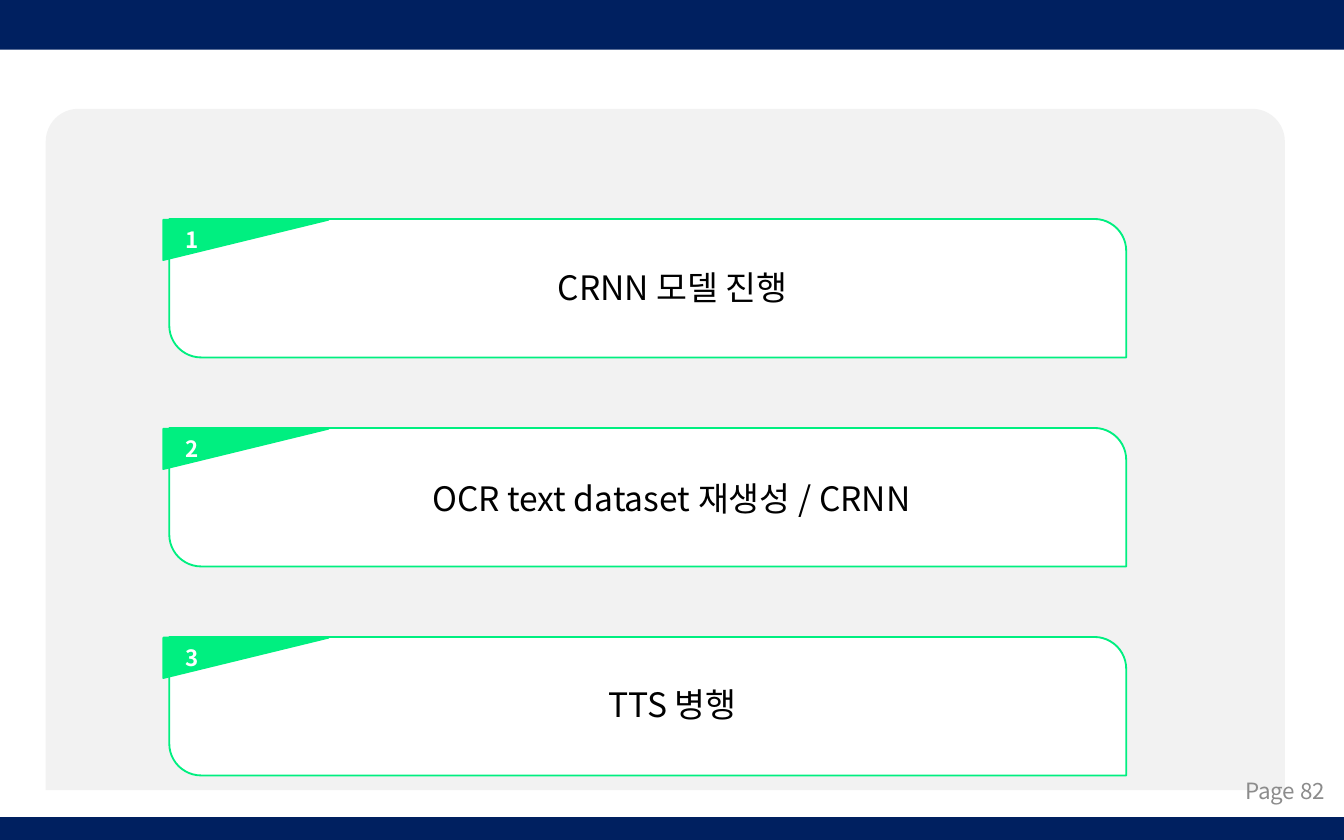
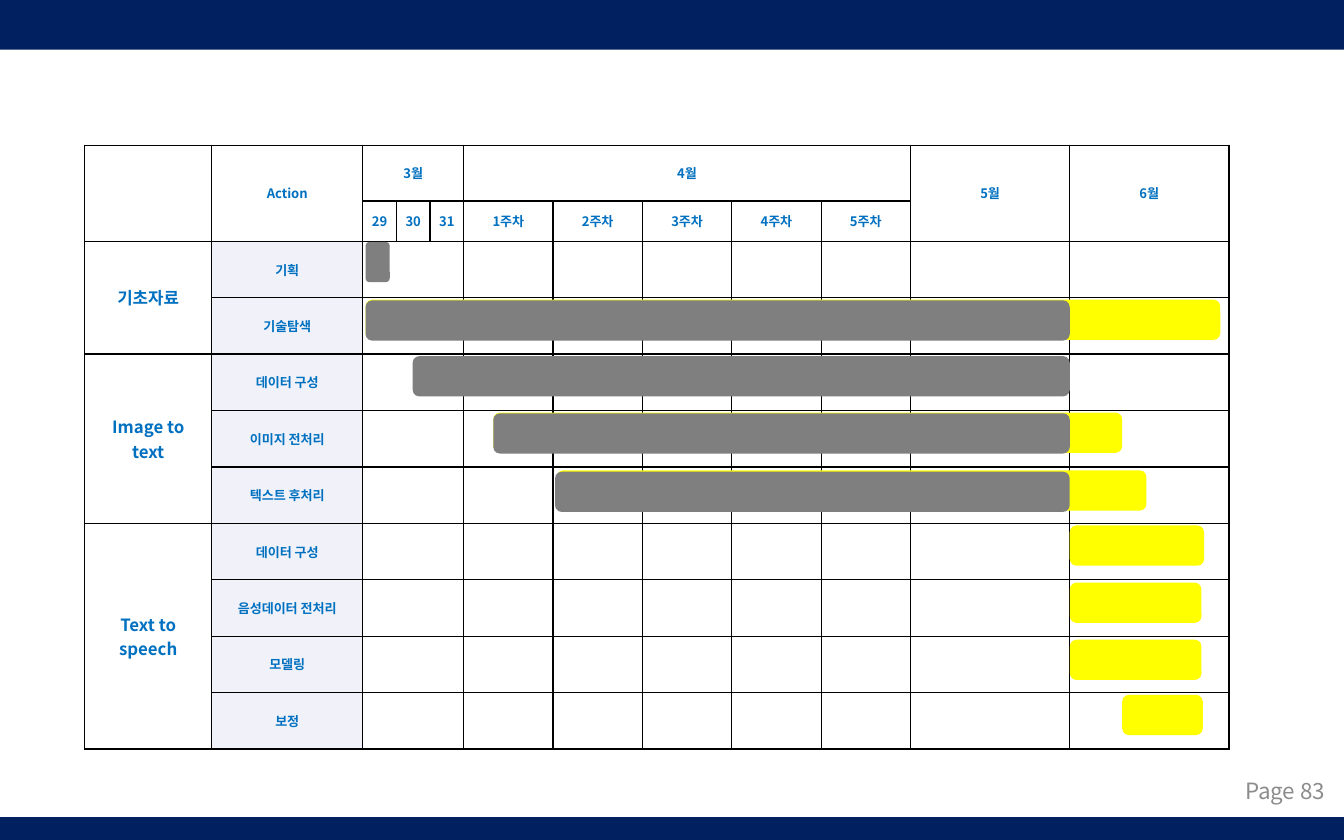
import lxml.etree
import pptx
import pptx.dml.color
import pptx.enum.shapes
import pptx.enum.text
import pptx.oxml.ns
import pptx.util

PX = 4572  # EMU per px, 200 px to the inch
FONT = "Noto Sans CJK KR"
COLORS = {
    "navy": "002060", "panel": "F2F2F2", "green": "00EF80", "white": "FFFFFF",
    "black": "000000", "page": "8C8C8C", "blue": "0070C0", "action": "F1F2F9",
    "done": "7F7F7F", "planned": "FFFF00",
}
SHAPE = pptx.enum.shapes.MSO_SHAPE
ALIGN = pptx.enum.text.PP_ALIGN
ANCHOR = pptx.enum.text.MSO_ANCHOR
AUTO = pptx.enum.text.MSO_AUTO_SIZE
qn = pptx.oxml.ns.qn


def add_shape(shapes, kind, box, fill, line=None, adj=()):
    sp = shapes.add_shape(kind, *[v * PX for v in box])
    sp.shadow.inherit = False
    sp.fill.solid()
    sp.fill.fore_color.rgb = pptx.dml.color.RGBColor.from_string(COLORS[fill])
    if line:
        sp.line.color.rgb = pptx.dml.color.RGBColor.from_string(COLORS[line])
        sp.line.width = pptx.util.Pt(1)
    else:
        sp.line.fill.background()
    for i, value in enumerate(adj):
        sp.adjustments[i] = value
    return sp


def write(tf, text, size=18, color="black", bold=False, align=ALIGN.CENTER,
          anchor=ANCHOR.TOP, wrap=True, grow=False):
    tf.word_wrap = wrap
    tf.vertical_anchor = anchor
    if grow:
        tf.auto_size = AUTO.SHAPE_TO_FIT_TEXT
    for i, line in enumerate(text.split("\n")):
        p = tf.add_paragraph() if i else tf.paragraphs[0]
        p.alignment = align
        r = p.add_run()
        r.text = line
        r.font.size = pptx.util.Pt(size)
        r.font.bold = bold
        r.font.color.rgb = pptx.dml.color.RGBColor.from_string(COLORS[color])
        r.font.name = FONT
        ea = lxml.etree.SubElement(r._r.get_or_add_rPr(), qn("a:ea"))
        ea.set("typeface", FONT)


prs = pptx.Presentation()
prs.slide_width = 2000 * PX
prs.slide_height = 1250 * PX
blank = prs.slide_layouts[6]
plan, schedule = [prs.slides.add_slide(blank) for _ in range(2)]

# Bands, moved to the master so that both slides share them
for i, box in enumerate([(0, 0, 2000, 74), (0, 1216, 2000, 34)]):
    sp = add_shape(plan.shapes, SHAPE.RECTANGLE, box, "navy")
    sp.element.nvSpPr.cNvPr.set("id", str(100 + i))
    prs.slide_master.shapes.element.insert(2 + i, sp.element)

# Plan: three numbered cards on a panel
s = plan
add_shape(s.shapes, SHAPE.ROUND_2_SAME_RECTANGLE, (68, 162, 1844, 1014),
          "panel", adj=(0.048, 0))
for i in range(3):
    top = 326 + 311 * i
    group = s.shapes.add_group_shape().shapes
    card = add_shape(group, SHAPE.ROUND_2_DIAG_RECTANGLE, (252, top, 1424, 206),
                     "white", "green", (0.23, 0))
    card.element.spPr.xfrm.set("flipH", "1")
    corner = add_shape(group, SHAPE.RIGHT_TRIANGLE, (336, top - 92, 60, 246),
                       "green", "green")
    corner.rotation = 90
    number = group.add_textbox(256 * PX, top * PX, 62 * PX, 62 * PX)
    write(number.text_frame, str(i + 1), size=12, color="white", bold=True,
          align=ALIGN.LEFT, grow=True)

for text, left, top, width in [
    ("OCR text dataset 재생성 / CRNN", 602, 702, 794),
    ("CRNN 모델 진행", 792, 388, 418),
    ("TTS 병행", 880, 1008, 242),
]:
    tb = s.shapes.add_textbox(left * PX, top * PX, width * PX, 80 * PX)
    write(tb.text_frame, text, wrap=False, grow=True)

# Schedule: table grid
s = schedule
columns = [189, 225] + [50] * 3 + [133] * 5 + [237] * 2
rows = [83, 51] + [84] * 9
frame = s.shapes.add_table(len(rows), len(columns), 126 * PX, 216 * PX,
                           sum(columns) * PX, sum(rows) * PX)
table = frame.table
table.first_row = table.horz_banding = False
for column, width in zip(table.columns, columns):
    column.width = width * PX
for row, height in zip(table.rows, rows):
    row.height = height * PX

for r in range(len(rows)):
    for c in range(len(columns)):
        cell = table.cell(r, c)
        cell.margin_left = cell.margin_right = 0
        cell.margin_top = cell.margin_bottom = 0
        tcPr = cell._tc.get_or_add_tcPr()
        for side in ("a:lnL", "a:lnR", "a:lnT", "a:lnB"):
            ln = lxml.etree.SubElement(tcPr, qn(side), w="9525")
            fill = lxml.etree.SubElement(ln, qn("a:solidFill"))
            lxml.etree.SubElement(fill, qn("a:srgbClr"), val=COLORS["black"])
        if r > 1 and c > 0:
            cell.fill.solid()
            cell.fill.fore_color.rgb = pptx.dml.color.RGBColor.from_string(
                COLORS["action" if c == 1 else "white"])
        else:
            cell.fill.background()

# Merged cells: first row, first column, last row, last column
spans = [(0, c, 1, c) for c in (0, 1, 10, 11)]
spans += [(0, 2, 0, 4), (0, 5, 0, 9), (2, 0, 3, 0), (4, 0, 6, 0), (7, 0, 10, 0)]
spans += [(r, 2, r, 4) for r in range(2, 11)]
for r1, c1, r2, c2 in spans:
    table.cell(r1, c1).merge(table.cell(r2, c2))

# Table text
labels = {(0, 1): "Action", (0, 2): "3월", (0, 5): "4월", (0, 10): "5월", (0, 11): "6월"}
days = ["29", "30", "31"] + [f"{week}주차" for week in range(1, 6)]
labels.update({(1, c): day for c, day in enumerate(days, 2)})
actions = ["기획", "기술탐색", "데이터 구성", "이미지 전처리", "텍스트 후처리",
           "데이터 구성", "음성데이터 전처리", "모델링", "보정"]
labels.update({(r, 1): action for r, action in enumerate(actions, 2)})
labels.update({(2, 0): "기초자료", (4, 0): "Image to\ntext", (7, 0): "Text to\nspeech"})
for (r, c), text in labels.items():
    cell = table.cell(r, c)
    write(cell.text_frame, text, size=7 if c else 9, color="blue", bold=True)
    cell.vertical_anchor = ANCHOR.MIDDLE

# Progress bars: left, top, width
bars = {
    "planned": [(544, 446, 1272), (734, 614, 936), (828, 700, 878), (1592, 782, 200),
                (1592, 867, 196), (1592, 952, 196), (1670, 1034, 120)],
    "done": [(544, 360, 36), (544, 447, 1048), (614, 530, 978), (734, 615, 858),
             (826, 702, 766)],
}
for color, boxes in bars.items():
    for left, top, width in boxes:
        add_shape(s.shapes, SHAPE.ROUNDED_RECTANGLE, (left, top, width, 60),
                  color, adj=(0.167,))

# Page numbers
for page, s in enumerate((plan, schedule), 82):
    tb = s.shapes.add_textbox(1526 * PX, 1144 * PX, 466 * PX, 66 * PX)
    write(tb.text_frame, f"Page {page}", size=12, color="page",
          align=ALIGN.RIGHT, anchor=ANCHOR.MIDDLE)

prs.save("out.pptx")
